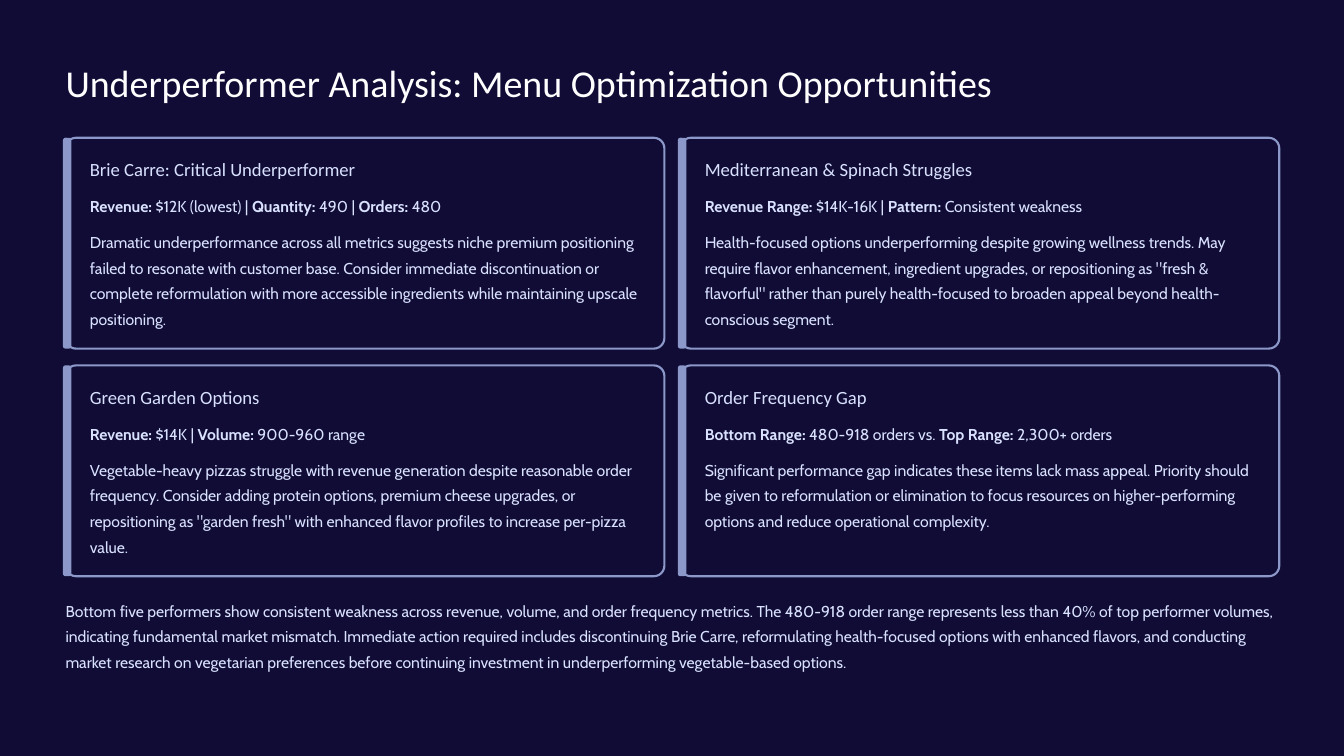
from pptx import Presentation
from pptx.dml.color import RGBColor
from pptx.enum.shapes import MSO_SHAPE as Shape
from pptx.enum.text import MSO_ANCHOR as Anchor, MSO_AUTO_SIZE as AutoSize
from pptx.util import Emu, Pt

EMU_PER_PX = 9144
NAVY, PERIWINKLE, PALE, WHITE = "100C35", "8C98CA", "D9E1FF", "FFFFFF"


def px(length):
    return Emu(length * EMU_PER_PX)


def color(value):
    return RGBColor.from_string(value)


def write(frame, text, font="Cabin", size=13.5, fill=PALE, leading=22):
    paragraph = frame.paragraphs[0]
    paragraph.line_spacing = Pt(leading)
    for index, part in enumerate(text.split("**")):
        if part:
            run = paragraph.add_run()
            run.text = part
            run.font.name = font
            run.font.size = Pt(size)
            run.font.bold = index % 2 == 1
            run.font.color.rgb = color(fill)


class SlideBuilder:
    def __init__(self, presentation):
        self.slide = presentation.slides.add_slide(presentation.slide_layouts[6])
        background = self.slide.background.fill
        background.solid()
        background.fore_color.rgb = color(NAVY)

    def text(self, left, top, width, height, text, wrap=True, **style):
        box = self.slide.shapes.add_textbox(px(left), px(top), px(width), px(height))
        frame = box.text_frame
        frame.margin_left = frame.margin_top = frame.margin_right = frame.margin_bottom = 0
        frame.word_wrap = wrap
        frame.auto_size = AutoSize.NONE
        frame.vertical_anchor = Anchor.TOP
        write(frame, text, **style)

    def panel(self, left, top, width, height, rounding, fill, line=None):
        shape = self.slide.shapes.add_shape(
            Shape.ROUNDED_RECTANGLE, px(left), px(top), px(width), px(height))
        shape.shadow.inherit = False
        shape.adjustments[0] = rounding
        shape.fill.solid()
        shape.fill.fore_color.rgb = color(fill)
        if line:
            shape.line.color.rgb = color(line)
            shape.line.width = Pt(1.8)
        else:
            shape.line.fill.background()

    def card(self, left, top, heading, metrics, body):
        self.panel(left, top, 713, 251, 0.05, NAVY, PERIWINKLE)
        self.panel(left - 3, top, 10, 251, 0.29, PERIWINKLE)
        inner = left + 29
        self.text(inner, top + 22, 661, 29, heading, wrap=False,
                  font="Calibri", size=16, leading=20.5)
        self.text(inner, top + 62, 661, 31, metrics, wrap=False)
        self.text(inner, top + 105, 661, 124, body)


CARDS = [
    ("Brie Carre: Critical Underperformer",
     "**Revenue:** $12K (lowest) | **Quantity:** 490 | **Orders:** 480",
     "Dramatic underperformance across all metrics suggests niche premium positioning "
     "failed to resonate with customer base. Consider immediate discontinuation or "
     "complete reformulation with more accessible ingredients while maintaining upscale "
     "positioning."),
    ("Mediterranean & Spinach Struggles",
     "**Revenue Range:** $14K-16K | **Pattern:** Consistent weakness",
     "Health-focused options underperforming despite growing wellness trends. May "
     "require flavor enhancement, ingredient upgrades, or repositioning as \"fresh & "
     "flavorful\" rather than purely health-focused to broaden appeal beyond "
     "health-conscious segment."),
    ("Green Garden Options",
     "**Revenue:** $14K | **Volume:** 900-960 range",
     "Vegetable-heavy pizzas struggle with revenue generation despite reasonable order "
     "frequency. Consider adding protein options, premium cheese upgrades, or "
     "repositioning as \"garden fresh\" with enhanced flavor profiles to increase "
     "per-pizza value."),
    ("Order Frequency Gap",
     "**Bottom Range:** 480-918 orders vs. **Top Range:** 2,300+ orders",
     "Significant performance gap indicates these items lack mass appeal. Priority should "
     "be given to reformulation or elimination to focus resources on higher-performing "
     "options and reduce operational complexity."),
]
SUMMARY = (
    "Bottom five performers show consistent weakness across revenue, volume, and order "
    "frequency metrics. The 480-918 order range represents less than 40% of top performer "
    "volumes, indicating fundamental market mismatch. Immediate action required includes "
    "discontinuing Brie Carre, reformulating health-focused options with enhanced flavors, "
    "and conducting market research on vegetarian preferences before continuing investment "
    "in underperforming vegetable-based options.")


def main():
    presentation = Presentation()
    presentation.slide_width, presentation.slide_height = px(1600), px(900)
    builder = SlideBuilder(presentation)
    builder.text(78, 68, 1219, 57, "Underperformer Analysis: Menu Optimization Opportunities",
                 wrap=False, font="Calibri", size=32.5, fill=WHITE, leading=41)
    for index, card in enumerate(CARDS):
        row, column = divmod(index, 2)
        builder.card(78 + 732 * column, 164 + 271 * row, *card)
    builder.text(78, 708, 1445, 124, SUMMARY)
    presentation.save("out.pptx")


if __name__ == "__main__":
    main()
